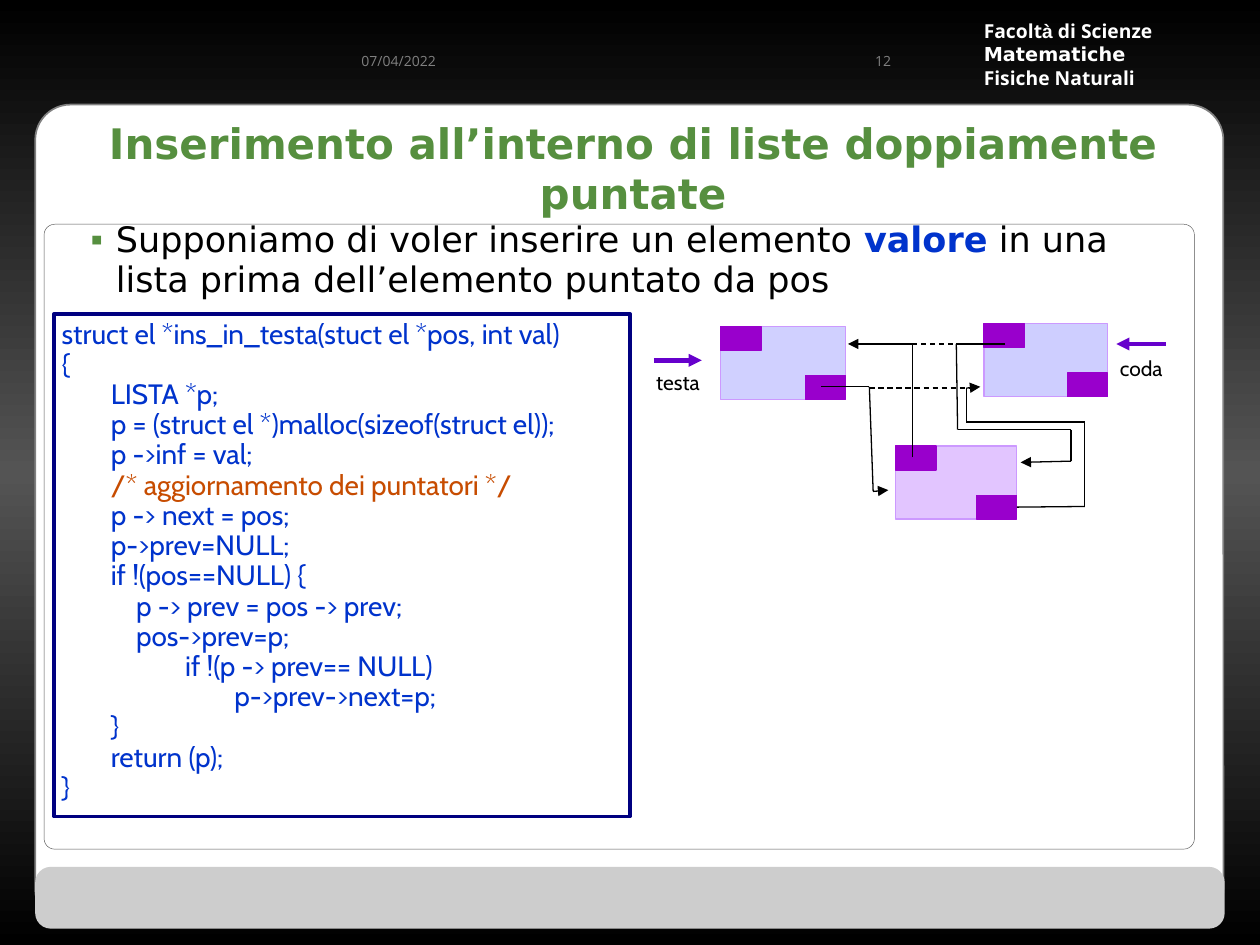
from copy import deepcopy
from dataclasses import dataclass
from itertools import pairwise

from pptx import Presentation
from pptx.dml.color import RGBColor
from pptx.enum.dml import MSO_LINE as Dash
from pptx.enum.shapes import MSO_CONNECTOR as Link, MSO_SHAPE as Shape
from pptx.enum.text import MSO_ANCHOR as Anchor, MSO_AUTO_SIZE as Fit, PP_ALIGN as Align
from pptx.oxml.ns import qn
from pptx.oxml.xmlchemy import OxmlElement as Node
from pptx.util import Inches, Pt


@dataclass(frozen=True)
class Theme:
    black: str = "000000"
    dark: str = "545454"
    gray: str = "808080"
    pale: str = "CDCDCD"
    white: str = "FFFFFF"
    green: str = "568F3F"
    blue: str = "0033CC"
    navy: str = "000080"
    rust: str = "C74C00"
    sky: str = "9999FF"
    lilac: str = "CC99FF"
    plum: str = "9900CC"
    violet: str = "6600CC"
    sans: str = "Open Sans"
    wide: str = "DejaVu Sans"
    code: str = "Cabin"
    plain: str = "Arial"
    title: int = 24
    body: int = 20
    script: int = 16
    label: int = 12
    head: int = 11
    note: int = 8


T = Theme()

CODE = [
    (0, "struct el *ins_in_testa(stuct el *pos, int val)"),
    (0, "{"),
    (1, "LISTA *p;"),
    (1, "p = (struct el *)malloc(sizeof(struct el));"),
    (1, "p ->inf = val;"),
    (1, "/* aggiornamento dei puntatori */"),
    (1, "p -> next = pos;"),
    (1, "p->prev=NULL;"),
    (1, "if !(pos==NULL) {"),
    (2, "p -> prev = pos -> prev;"),
    (2, "pos->prev=p;"),
    (3, "if !(p -> prev== NULL)"),
    (4, "p->prev->next=p;"),
    (1, "}"),
    (1, "return (p);"),
    (0, "}"),
]
TABS = [0, 0.39, 0.59, 0.98, 1.37]


def rgb(color):
    return RGBColor.from_string(color)


def style(run, size, color, font, bold=False):
    run.font.size, run.font.name, run.font.bold = Pt(size), font, bold
    run.font.color.rgb = rgb(color)


def place(shape, box):
    shape.left, shape.top, shape.width, shape.height = map(Inches, box)
    shape.element.getparent().append(shape.element)


def block(slide, box, fill=None, line=None, width=0.75, curve=None, alpha=None):
    kind = Shape.RECTANGLE if curve is None else Shape.ROUNDED_RECTANGLE
    shape = slide.shapes.add_shape(kind, *map(Inches, box))
    shape.shadow.inherit = False
    if curve is not None:
        shape.adjustments[0] = curve
    if fill:
        shape.fill.solid()
        shape.fill.fore_color.rgb = rgb(fill)
    else:
        shape.fill.background()
    if alpha:
        veil = Node("a:alpha")
        veil.set("val", str(alpha * 1000))
        shape.element.spPr.find(qn("a:solidFill"))[0].append(veil)
    if line:
        shape.line.color.rgb = rgb(line)
        shape.line.width = Pt(width)
    else:
        shape.line.fill.background()
    return shape


def write(slide, box, text, size, color, font, align=Align.LEFT, anchor=Anchor.TOP, wrap=True):
    frame = slide.shapes.add_textbox(*map(Inches, box)).text_frame
    frame.word_wrap, frame.vertical_anchor = wrap, anchor
    frame.text = text
    for para in frame.paragraphs:
        para.alignment = align
        for run in para.runs:
            style(run, size, color, font)
    return frame


def stroke(slide, start, end, color=T.black, width=0.75, dash=False, arrow=False):
    line = slide.shapes.add_connector(Link.STRAIGHT, *map(Inches, (*start, *end)))
    line.line.color.rgb = rgb(color)
    line.line.width = Pt(width)
    if dash:
        line.line.dash_style = Dash.DASH
    if arrow:
        tail = Node("a:tailEnd")
        tail.set("type", "triangle")
        line.line._get_or_add_ln().append(tail)
    line.element.spPr.append(Node("a:effectLst"))
    return line


def backdrop(slide):
    fill = slide.background.fill
    fill.gradient()
    stops = slide.element.find(".//" + qn("a:gsLst"))
    stops.append(deepcopy(stops[0]))
    for stop, spot, color in zip(fill.gradient_stops, (0, 0.5, 1), (T.black, T.dark, T.black)):
        stop.position = spot
        stop.color.rgb = rgb(color)
    fill.gradient_angle = 90


def card(slide, box):
    x, y, w, h = box
    block(slide, box, T.white, T.gray, 1, 0.043)
    block(slide, (x, y + h - 0.46, w + 0.01, 0.49), T.pale, curve=0.252)


def header(slide, box):
    x, y, w, h = box
    text = "Facoltà di Scienze\nMatematiche\nFisiche Naturali"
    frame = write(slide, (x + 5.21, y, 1.83, 0.42), text, T.head, T.white, T.sans,
                  anchor=Anchor.MIDDLE, wrap=False)
    first, second, third = frame.paragraphs
    first.runs[0].text = "Facolt"
    for part, font in (("à", T.plain), (" di Scienze", T.sans)):
        run = first.add_run()
        run.text = part
        style(run, T.head, T.white, font)
    second.runs[0].font.name = T.wide
    for para in frame.paragraphs:
        para.runs[0].font.bold = True
    for run in first.runs:
        run.font.bold = True
    for left, wide, text in ((3.92, 0.75, "12"), (0, 1.06, "07/04/2022")):
        write(slide, (x + left, y + 0.01, wide, 0.5), text, T.note, T.gray, T.sans,
              Align.RIGHT, Anchor.MIDDLE)


def heading(slide, box):
    title = slide.shapes.title
    place(title, box)
    frame = title.text_frame
    frame.text = "Inserimento all’interno di liste doppiamente puntate"
    frame.vertical_anchor, frame.auto_size = Anchor.BOTTOM, Fit.NONE
    para = frame.paragraphs[0]
    para.alignment = Align.CENTER
    style(para.runs[0], T.title, T.green, T.wide, True)


def indent(para, left, hang=0):
    props = para._p.get_or_add_pPr()
    props.set("marL", str(Inches(left)))
    props.set("indent", str(Inches(hang)))
    return props


def body(slide, box):
    shape = slide.placeholders[1]
    place(shape, box)
    frame = shape.text_frame
    frame.auto_size, frame.vertical_anchor = Fit.NONE, Anchor.TOP
    para = frame.paragraphs[0]
    para.level, para.line_spacing = 1, 0.95
    para.space_before = Pt(0)
    props = indent(para, 0.39, -0.2)
    tint, mark = Node("a:buClr"), Node("a:buChar")
    shade = Node("a:srgbClr")
    shade.set("val", T.green)
    tint.append(shade)
    mark.set("char", "▪")
    props.extend([tint, mark])
    for text, color, bold in (("Supponiamo di voler inserire un elemento ", T.black, False),
                              ("valore", T.blue, True),
                              (" in una lista prima dell’elemento puntato da pos", T.black, False)):
        run = para.add_run()
        run.text = text
        style(run, T.body, color, T.wide, bold)


def listing(slide, box):
    frame = block(slide, box, line=T.navy, width=2).text_frame
    frame.word_wrap, frame.vertical_anchor = True, Anchor.TOP
    frame.margin_left = frame.margin_right = Inches(0.06)
    frame.text = "\n".join(text for _, text in CODE)
    for para, (depth, text) in zip(frame.paragraphs, CODE):
        para.alignment, para.line_spacing = Align.LEFT, 0.9
        indent(para, TABS[depth])
        style(para.runs[0], T.script, T.rust if text.startswith("/*") else T.blue, T.code)


def item(slide, box, fill, alpha):
    x, y, w, h = box
    block(slide, box, fill, T.lilac, alpha=alpha)
    wide, high = 0.32, 0.19
    return [block(slide, (x + dx, y + dy, wide, high), T.plum, T.plum)
            for dx, dy in ((0, 0), (w - wide, h - high))]


def diagram(slide, box):
    x, y = box[:2]

    def at(point):
        return x + point[0], y + point[1]

    item(slide, (*at((0.62, 0.09)), 0.99, 0.58), T.sky, 46)
    item(slide, (*at((2.71, 0.07)), 0.98, 0.58), T.sky, 48)
    fresh = item(slide, (*at((2.01, 1.04)), 0.96, 0.58), T.lilac, 56)
    paths = [
        [(1.42, 0.57), (1.8, 0.57), (1.83, 1.4), (1.95, 1.39)],
        [(2.14, 1.13), (2.14, 0.23), (1.63, 0.23)],
        [(2.88, 0.23), (2.49, 0.23), (2.5, 0.91), (3.4, 0.91), (3.4, 1.16), (3, 1.17)],
        [(2.97, 1.52), (3.51, 1.52), (3.51, 0.85), (2.57, 0.85), (2.57, 0.58), (2.68, 0.57)],
    ]
    for path in paths:
        lines = [stroke(slide, at(a), at(b), arrow=b == path[-1]) for a, b in pairwise(path)]
    lines[0].begin_connect(fresh[1], 3)
    for a, b in (((1.8, 0.58), (2.59, 0.58)), ((2.14, 0.23), (2.52, 0.23))):
        stroke(slide, at(a), at(b), dash=True)
    for text, spot, a, b in (("coda", (3.69, 0.27), (4.15, 0.23), (3.76, 0.23)),
                             ("testa", (0.01, 0.38), (0.09, 0.36), (0.47, 0.36))):
        stroke(slide, at(a), at(b), T.violet, 2.5, arrow=True)
        write(slide, (*at(spot), 0.77, 0.3), text, T.label, T.black, T.code)


def main():
    deck = Presentation()
    deck.slide_width, deck.slide_height = Inches(10), Inches(7.5)
    slide = deck.slides.add_slide(deck.slide_layouts[1])
    backdrop(slide)
    card(slide, (0.28, 0.83, 9.43, 6.51))
    header(slide, (2.5, 0.22, 7.04, 0.51))
    heading(slide, (0.35, 0.84, 9.35, 0.94))
    diagram(slide, (5.1, 2.5, 4.46, 1.64))
    listing(slide, (0.43, 2.49, 4.57, 3.99))
    body(slide, (0.43, 1.7, 9, 4.92))
    block(slide, (0.35, 1.78, 9.13, 4.96), line=T.dark, width=0.25, curve=0.017)
    deck.save("out.pptx")


if __name__ == "__main__":
    main()
